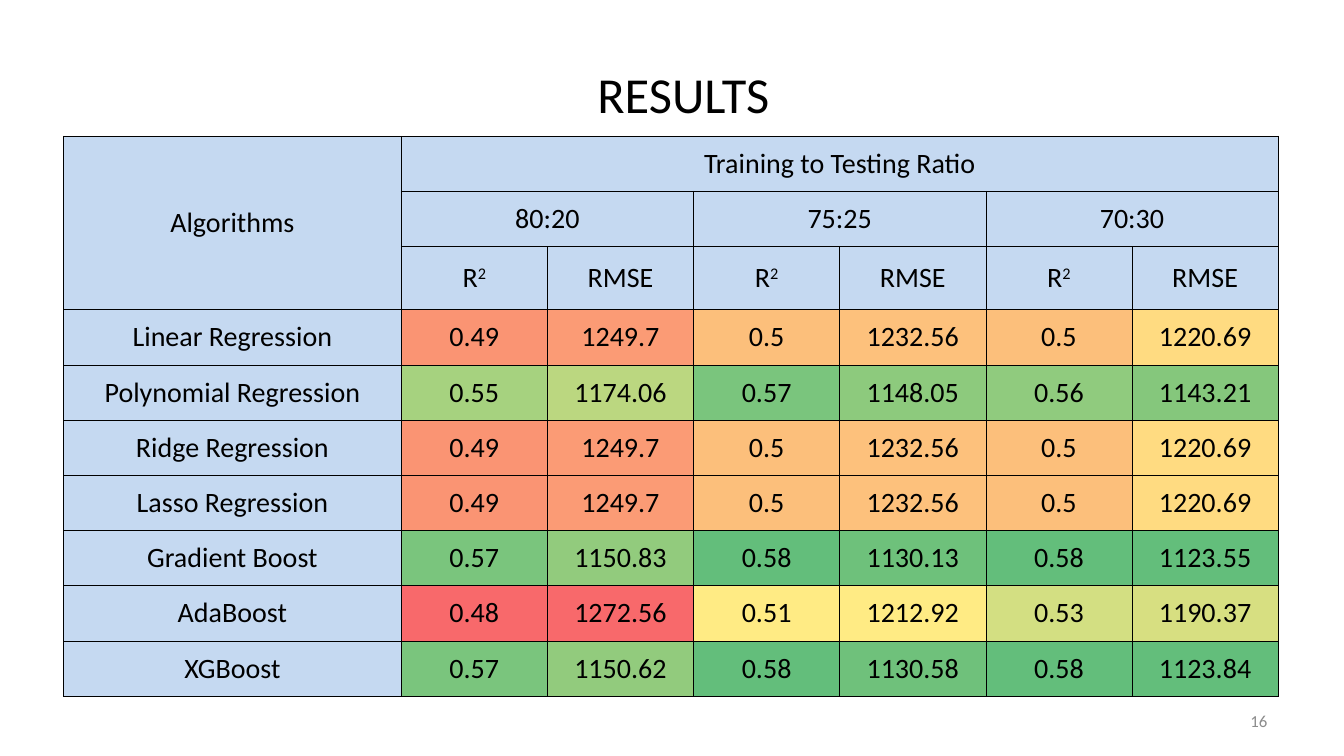
from pptx import Presentation
from pptx.dml.color import RGBColor
from pptx.enum.text import MSO_ANCHOR as Anchor, PP_ALIGN as Align
from pptx.oxml import parse_xml
from pptx.oxml.ns import nsdecls
from pptx.util import Pt

# Content
FACE = "Calibri"
HEAD = "C5D9F1"
RATIOS = ["80:20", "75:25", "70:30"]
SCORES = [
    ("Linear Regression", "0.49", "1249.7", "0.5", "1232.56", "0.5", "1220.69"),
    ("Polynomial Regression", "0.55", "1174.06", "0.57", "1148.05", "0.56", "1143.21"),
    ("Ridge Regression", "0.49", "1249.7", "0.5", "1232.56", "0.5", "1220.69"),
    ("Lasso Regression", "0.49", "1249.7", "0.5", "1232.56", "0.5", "1220.69"),
    ("Gradient Boost", "0.57", "1150.83", "0.58", "1130.13", "0.58", "1123.55"),
    ("AdaBoost", "0.48", "1272.56", "0.51", "1212.92", "0.53", "1190.37"),
    ("XGBoost", "0.57", "1150.62", "0.58", "1130.58", "0.58", "1123.84"),
]
# Heat colour of each score; everything else takes the header colour
HEAT = {
    "0.48": "F8696B", "0.49": "FA9473", "0.5": "FCBF7B", "0.51": "FFEB84",
    "0.53": "D3DF82", "0.55": "A6D27F", "0.56": "90CB7E", "0.57": "7AC57D",
    "0.58": "63BE7B",
    "1272.56": "F8696B", "1249.7": "FB9B75", "1232.56": "FDC17C",
    "1220.69": "FFDB81", "1212.92": "FFEB84", "1190.37": "D7DF81",
    "1174.06": "BBD780", "1150.83": "92CB7D", "1150.62": "92CB7D",
    "1148.05": "8DCA7D", "1143.21": "85C77C", "1130.58": "6FC17B",
    "1130.13": "6EC17B", "1123.84": "63BE7B", "1123.55": "63BE7B",
}
GRID = [
    ["Algorithms", "Training to Testing Ratio"] + [""] * 5,
    [""] + [text for ratio in RATIOS for text in (ratio, "")],
    [""] + ["R2", "RMSE"] * len(RATIOS),
    *SCORES,
]
# First row, first column, last row, last column
MERGES = [(0, 0, 2, 0), (0, 1, 0, 6)] + [(1, c, 1, c + 1) for c in (1, 3, 5)]
WIDTHS = [241.2] + [104.4] * 6
HEIGHTS = [39.45] * 2 + [45.2] + [39.45] * 7


def color(code):
    return RGBColor.from_string(code)


def style(para, size, code, align):
    para.alignment = align
    for run in para.runs:
        run.font.name = FACE
        run.font.size = Pt(size)
        run.font.color.rgb = color(code)


def place(shape, left, top, width, height):
    shape.left, shape.top = Pt(left), Pt(top)
    shape.width, shape.height = Pt(width), Pt(height)


def border(cell):
    for i, side in enumerate("LRTB"):
        line = parse_xml(
            f'<a:ln{side} {nsdecls("a")} w="{Pt(0.5)}"><a:solidFill>'
            f'<a:srgbClr val="000000"/></a:solidFill></a:ln{side}>')
        cell._tc.get_or_add_tcPr().insert(i, line)


def fill_cell(cell, text):
    para = cell.text_frame.paragraphs[0]
    if text == "R2":
        for part in text:
            para.add_run().text = part
        para.runs[1].font._element.set("baseline", "30000")
    else:
        para.text = text
    style(para, 20, "000000", Align.CENTER)
    cell.vertical_anchor = Anchor.MIDDLE
    cell.margin_left = cell.margin_right = 0
    cell.margin_top = cell.margin_bottom = 0
    cell.fill.solid()
    cell.fill.fore_color.rgb = color(HEAT.get(text, HEAD))
    border(cell)


deck = Presentation()
deck.slide_width, deck.slide_height = Pt(960), Pt(540)
slide = deck.slides.add_slide(deck.slide_layouts[5])

# Title, set slightly right of centre by a wider left inset
title = slide.shapes.title
place(title, 48, 21.6, 864, 90)
frame = title.text_frame
frame.text = "RESULTS"
frame.vertical_anchor = Anchor.MIDDLE
frame.margin_left = Pt(23.5)
style(frame.paragraphs[0], 36, "000000", Align.CENTER)

# Results table
table = slide.shapes.add_table(
    len(GRID), len(WIDTHS), Pt(45.4), Pt(97.2),
    Pt(sum(WIDTHS)), Pt(sum(HEIGHTS))).table
for col, width in zip(table.columns, WIDTHS):
    col.width = Pt(width)
for row, height in zip(table.rows, HEIGHTS):
    row.height = Pt(height)
for r, texts in enumerate(GRID):
    for c, text in enumerate(texts):
        fill_cell(table.cell(r, c), text)
for top, left, end, right in MERGES:
    table.cell(top, left).merge(table.cell(end, right))

# Slide number
number = slide.shapes.add_textbox(Pt(688.3), Pt(500.4), Pt(224), Pt(28.8))
frame = number.text_frame
frame.text = "16"
frame.word_wrap = True
frame.vertical_anchor = Anchor.MIDDLE
style(frame.paragraphs[0], 12, "8C8C8C", Align.RIGHT)

deck.save("out.pptx")
